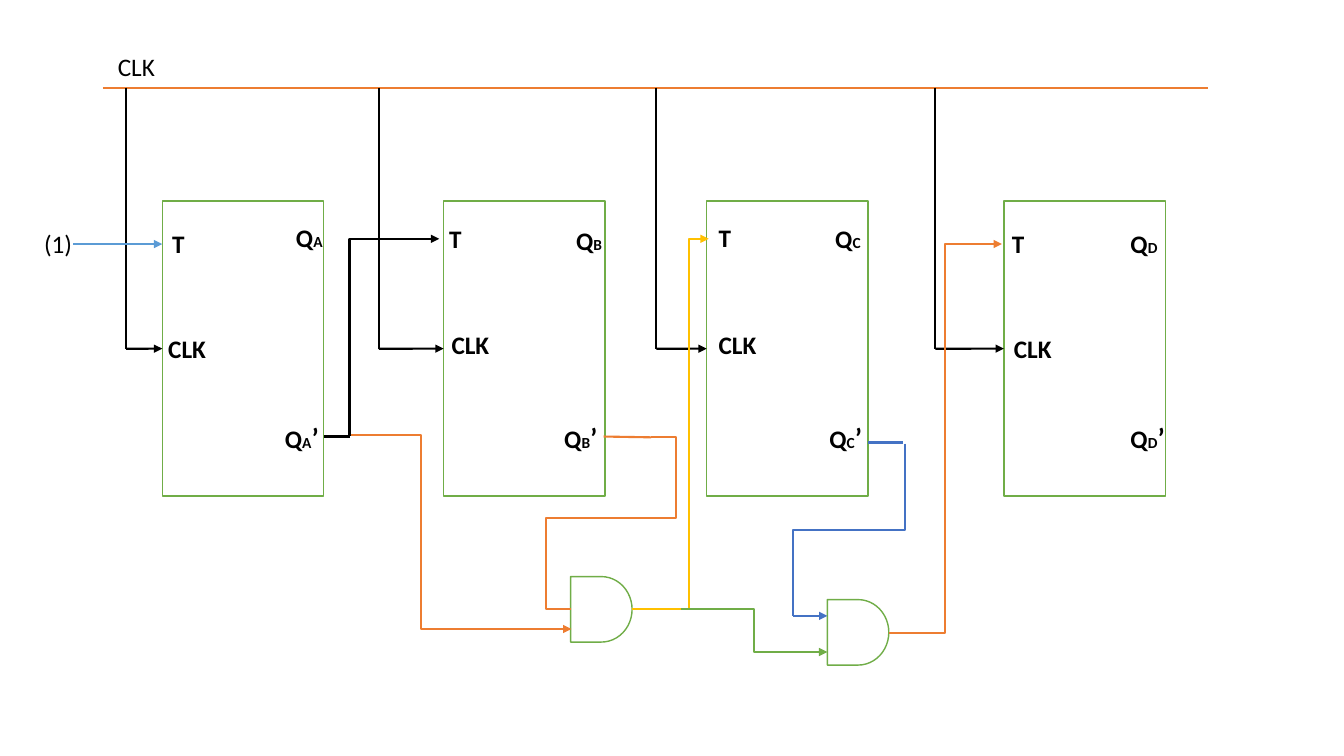
from lxml.etree import SubElement
from pptx import Presentation
from pptx.dml.color import RGBColor
from pptx.enum.shapes import MSO_CONNECTOR as LINK, MSO_SHAPE as SHAPE
from pptx.enum.text import MSO_AUTO_SIZE as FIT
from pptx.oxml.ns import qn
from pptx.util import Cm, Pt

BLACK = RGBColor(0x00, 0x00, 0x00)
WHITE = RGBColor(0xFF, 0xFF, 0xFF)
GREEN = RGBColor(0x70, 0xAD, 0x47)
ORANGE = RGBColor(0xED, 0x7D, 0x31)
YELLOW = RGBColor(0xFF, 0xC0, 0x00)
BLUE = RGBColor(0x44, 0x72, 0xC4)
SKY = RGBColor(0x5B, 0x9B, 0xD5)

BUS_Y, CLOCK_Y = 2.21, 8.79
BOX_TOP, BOX_WIDTH, BOX_HEIGHT = 5.07, 4.07, 7.43
GATE_WIDTH, GATE_HEIGHT = 1.55, 1.65

deck = Presentation()
deck.slide_width, deck.slide_height = Cm(33.87), Cm(19.05)
slide = deck.slides.add_slide(deck.slide_layouts[6])
shapes = slide.shapes


def write(parts, left, top, width=2.46, bold=True):
    """Write one label from (text, size) parts."""
    label = shapes.add_textbox(Cm(left), Cm(top), Cm(width), Cm(1.02))
    frame = label.text_frame
    frame.word_wrap, frame.auto_size = True, FIT.SHAPE_TO_FIT_TEXT
    for text, size in parts:
        run = frame.paragraphs[0].add_run()
        run.text = text
        letters = {"name": "Calibri", "size": Pt(size), "bold": bold}
        for attribute, value in letters.items():
            setattr(run.font, attribute, value)
        run.font.color.rgb = BLACK


def wire(start, end, color, arrow=False, preset="line", adjust=(), turned=False):
    """Draw a straight or bent wire; a turned one leaves vertically."""
    (x1, y1), (x2, y2) = start, end
    if turned:  # box before its quarter turn
        mid_x, mid_y = (x1 + x2) / 2, (y1 + y2) / 2
        x1, y1, x2, y2 = (mid_x + y1 - mid_y, mid_y - x1 + mid_x,
                          mid_x + y2 - mid_y, mid_y - x2 + mid_x)
    kind = LINK.STRAIGHT if preset == "line" else LINK.ELBOW
    link = shapes.add_connector(kind, Cm(x1), Cm(y1), Cm(x2), Cm(y2))
    link.line.color.rgb, link.line.width = color, Pt(1.5)
    properties = link._element.spPr
    if turned:
        properties.find(qn("a:xfrm")).set("rot", "5400000")
    geometry = properties.find(qn("a:prstGeom"))
    geometry.set("prst", preset)
    for number, share in enumerate(adjust, 1):
        SubElement(geometry.find(qn("a:avLst")), qn("a:gd"),
                   name=f"adj{number}", fmla=f"val {round(share * 100000)}")
    if arrow:
        SubElement(properties.find(qn("a:ln")), qn("a:tailEnd"), type="triangle")
    SubElement(properties, qn("a:effectLst"))
    return link


# Flip-flop boxes and AND gates
outlines = [(SHAPE.RECTANGLE, left, BOX_TOP, BOX_WIDTH, BOX_HEIGHT)
            for left in (4.09, 11.18, 17.81, 25.3)]
outlines += [(SHAPE.FLOWCHART_DELAY, left, top, GATE_WIDTH, GATE_HEIGHT)
             for left, top in ((14.38, 14.53), (20.85, 15.11))]
blocks = []
for kind, *place in outlines:
    block = shapes.add_shape(kind, *map(Cm, place))
    block.shadow.inherit = False
    block.fill.solid()
    block.fill.fore_color.rgb = WHITE
    block.line.color.rgb, block.line.width = GREEN, Pt(1)
    blocks.append(block)

# Clock bus with a drop to every flip-flop
wire((2.59, BUS_Y), (30.45, BUS_Y), ORANGE)
for flip_flop, drop_x in zip(blocks, (3.18, 9.55, 16.54, 23.57)):
    wire((drop_x, BUS_Y), (drop_x, CLOCK_Y), BLACK)
    clock_in = wire((drop_x, CLOCK_Y), (drop_x + 1, CLOCK_Y), BLACK, arrow=True)
    clock_in.end_connect(flip_flop, 1)

# Pin labels: stage, then places of CLK, T, Q and Q’
pins = [
    ("A", (3.99, 8.28), (4.09, 5.64), (7.21, 5.49), (6.93, 10.46)),
    ("B", (11.13, 8.18), (11.07, 5.51), (14.27, 5.56), (13.97, 10.46)),
    ("C", (17.86, 8.18), (17.86, 5.49), (20.8, 5.51), (20.65, 10.46)),
    ("D", (25.3, 8.28), (25.25, 5.64), (28.24, 5.64), (28.24, 10.46)),
]
for stage, clock, toggle, output, inverse in pins:
    write([("CLK", 18)], *clock)
    write([("T", 18)], *toggle)
    write([("Q", 18), (stage, 11)], *output)
    write([("Q", 18), (stage, 11), ("’", 20)], *inverse)

# Inputs
write([("CLK", 18)], 2.72, 1.17, 2.92, bold=False)
write([("(1)", 18)], 0.86, 5.64, 1.35, bold=False)
wire((1.85, 6.15), (4.09, 6.15), SKY, arrow=True)

# Stage A output to stage B and the first gate
wire((8.81, 11), (11.07, 6.02), BLACK, True, "bentConnector2", turned=True)
wire((8.16, 11), (8.81, 11), BLACK)
wire((8.84, 10.97), (14.4, 15.85), ORANGE, True, "bentConnector3", (0.32,))

# Stage B output to the first gate
wire((16.41, 11.02), (14.38, 15.34), ORANGE, False, "bentConnector5",
     (-0.31, 0.47, 1.31))
wire((16.41, 11.02), (15.21, 11), ORANGE)

# First gate to stage C, second gate to stage D
wire((15.93, 15.34), (17.86, 6.02), YELLOW, True, "bentConnector3", (0.74,))
wire((22.4, 15.95), (25.25, 6.15), ORANGE, True, "bentConnector3", (0.5,))

# First gate and stage C output to the second gate
wire((17.17, 15.34), (20.85, 16.43), GREEN, True, "bentConnector3", (0.5,))
wire((22.81, 11.18), (19.99, 15.52), BLUE, False, "bentConnector3", (0.5,), True)
wire((21.87, 11.15), (22.76, 11.15), BLUE)
wire((19.99, 15.52), (20.85, 15.52), BLUE, arrow=True)

deck.save("out.pptx")
